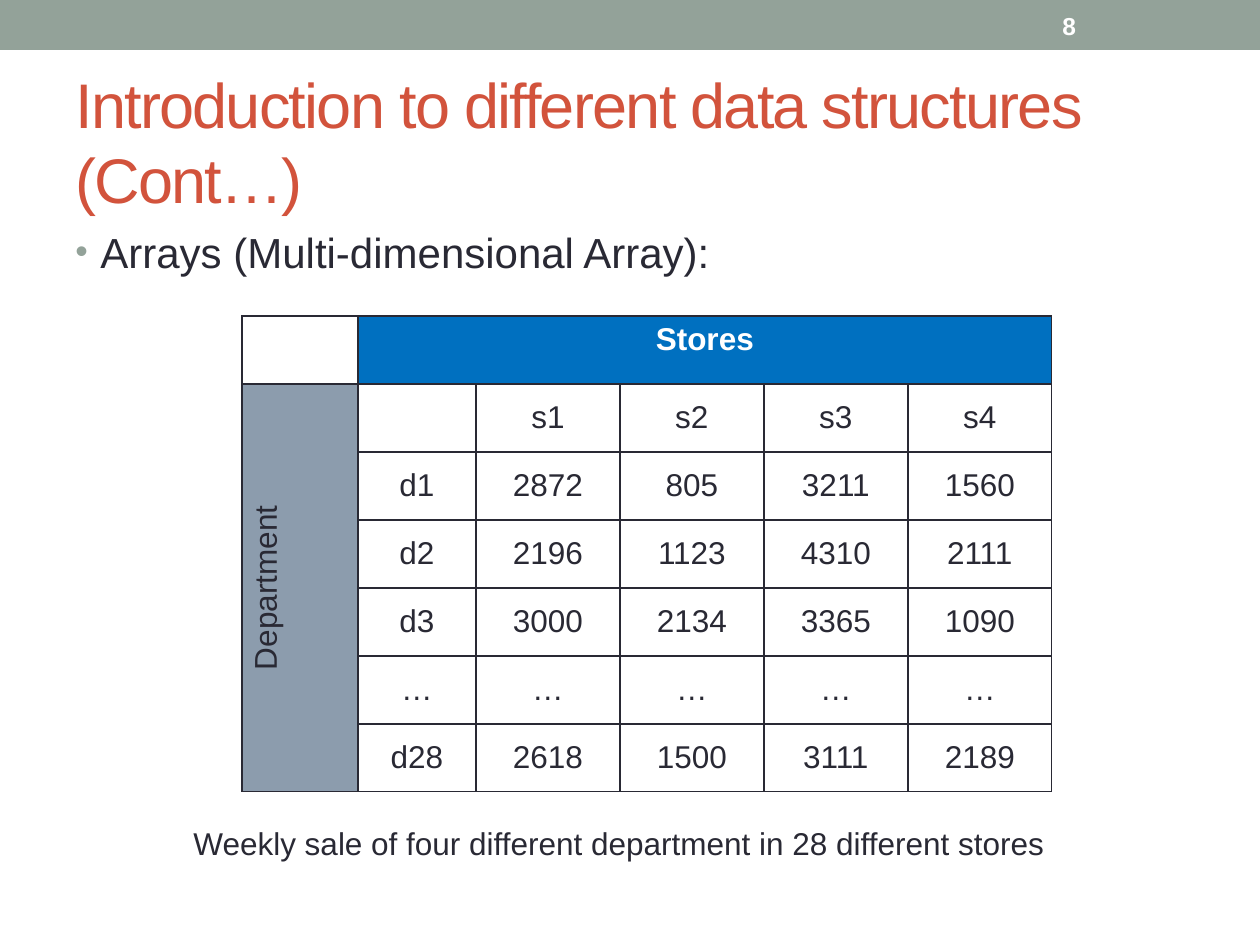
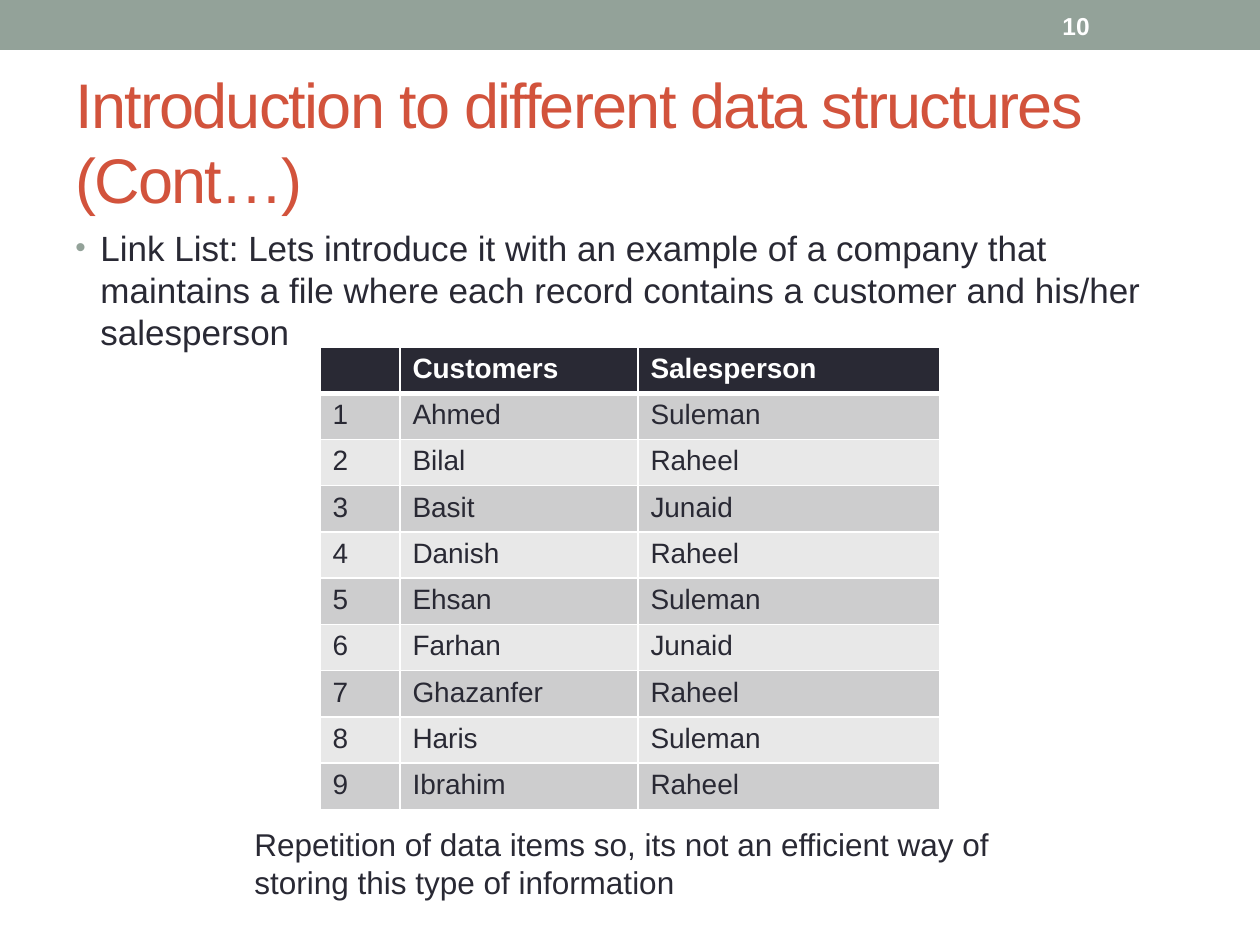
from lxml.etree import SubElement
from pptx import Presentation
from pptx.dml.color import RGBColor
from pptx.enum.shapes import MSO_SHAPE
from pptx.enum.text import MSO_ANCHOR, PP_ALIGN
from pptx.oxml.ns import qn
from pptx.util import Emu, Pt

SAGE = RGBColor(0x93, 0xA2, 0x99)
RUST = RGBColor(0xD2, 0x53, 0x3C)
INK = RGBColor(0x29, 0x29, 0x34)
WHITE = RGBColor(0xFF, 0xFF, 0xFF)
BLUE = RGBColor(0x00, 0x70, 0xC0)
SLATE = RGBColor(0x8C, 0x9C, 0xAD)
GREY = RGBColor(0xCD, 0xCD, 0xCE)
PALE = RGBColor(0xE8, 0xE8, 0xE8)
FONT = "Arial"
TITLE = "Introduction to different data structures (Cont…)"

SALES = [
    ["", "Stores", "", "", "", ""],
    ["Department", "", "s1", "s2", "s3", "s4"],
    ["", "d1", "2872", "805", "3211", "1560"],
    ["", "d2", "2196", "1123", "4310", "2111"],
    ["", "d3", "3000", "2134", "3365", "1090"],
    ["", "…", "…", "…", "…", "…"],
    ["", "d28", "2618", "1500", "3111", "2189"],
]
CUSTOMERS = [
    ("Ahmed", "Suleman"),
    ("Bilal", "Raheel"),
    ("Basit", "Junaid"),
    ("Danish", "Raheel"),
    ("Ehsan", "Suleman"),
    ("Farhan", "Junaid"),
    ("Ghazanfer", "Raheel"),
    ("Haris", "Suleman"),
    ("Ibrahim", "Raheel"),
]


def px(length):
    return Emu(round(length * 914400 / 126))


def add_span(para, text, size, color, bold=False):
    span = para.add_run()
    span.text = text
    span.font.name = FONT
    span.font.size = Pt(size)
    span.font.bold = bold
    span.font.color.rgb = color
    return span


def add_text(page, box, text, size, color, bold=False, anchor=MSO_ANCHOR.TOP):
    frame = page.shapes.add_textbox(*map(px, box)).text_frame
    frame.word_wrap = True
    frame.vertical_anchor = anchor
    para = frame.paragraphs[0]
    return para, add_span(para, text, size, color, bold)


def add_bullet(page, box, text, size):
    para, span = add_text(page, box, text, size, INK)
    para.space_before = Pt(size * 0.2)
    props = para._p.get_or_add_pPr()
    props.set("marL", str(px(25)))
    props.set("indent", str(-px(25)))
    color = SubElement(props, qn("a:buClr"))
    SubElement(color, qn("a:srgbClr"), val=str(SAGE))
    SubElement(props, qn("a:buSzPct"), val="85000")
    SubElement(props, qn("a:buFont"), typeface=FONT)
    SubElement(props, qn("a:buChar"), char="•")


def add_page(deck, number):
    page = deck.slides.add_slide(deck.slide_layouts[6])
    band = page.shapes.add_shape(MSO_SHAPE.RECTANGLE, 0, 0, px(1260), px(50))
    band.shadow.inherit = False
    band.fill.solid()
    band.fill.fore_color.rgb = SAGE
    band.line.fill.background()
    para, span = add_text(page, (63, 73, 1134, 136), TITLE, 36, RUST,
                          anchor=MSO_ANCHOR.MIDDLE)
    span.font._element.set("spc", "-100")
    add_text(page, (1050, 3, 147, 45), number, 14, WHITE, True, MSO_ANCHOR.MIDDLE)
    return page


def add_grid(page, box, columns, row_count):
    table = page.shapes.add_table(row_count, len(columns), *map(px, box)).table
    table.first_row = table.horz_banding = False
    for column, width in zip(table.columns, columns):
        column.width = px(width)
    for row in table.rows:
        row.height = px(box[3]) // row_count
    return table


def set_borders(cell, color, bottom=1):
    props = cell._tc.get_or_add_tcPr()
    for side, width in (("L", 1), ("R", 1), ("T", 1), ("B", bottom)):
        line = SubElement(props, qn(f"a:ln{side}"), w=str(Pt(width)))
        fill = SubElement(line, qn("a:solidFill"))
        SubElement(fill, qn("a:srgbClr"), val=str(color))


def fill_cell(cell, text, size, color, fill=None, bold=False, align=PP_ALIGN.LEFT):
    if fill is None:
        cell.fill.background()
    else:
        cell.fill.solid()
        cell.fill.fore_color.rgb = fill
    para = cell.text_frame.paragraphs[0]
    para.alignment = align
    if text:
        add_span(para, text, size, color, bold)
    else:
        SubElement(para._p, qn("a:endParaRPr"), sz=str(size * 100))


def add_sales_table(page, box):
    table = add_grid(page, box, [116, 118] + [144] * 4, len(SALES))
    for row, values in enumerate(SALES):
        for column, value in enumerate(values):
            cell = table.cell(row, column)
            set_borders(cell, INK)
            header = row == 0
            if header:
                fill = BLUE if column else WHITE
            else:
                fill = None if column else SLATE
                cell.vertical_anchor = MSO_ANCHOR.MIDDLE
            fill_cell(cell, value, 18, WHITE if header else INK, fill, header,
                      PP_ALIGN.CENTER)
    table.cell(0, 1).merge(table.cell(0, 5))
    department = table.cell(1, 0)
    department.merge(table.cell(6, 0))
    department._tc.get_or_add_tcPr().set("vert", "vert270")


def add_customer_table(page, box):
    rows = [("", "Customers", "Salesperson")]
    rows += [(str(number), *pair) for number, pair in enumerate(CUSTOMERS, 1)]
    table = add_grid(page, box, [80, 238, 302], len(rows))
    for row, values in enumerate(rows):
        header = row == 0
        fill = INK if header else GREY if row % 2 else PALE
        for column, value in enumerate(values):
            cell = table.cell(row, column)
            set_borders(cell, WHITE, 3 if header else 1)
            fill_cell(cell, value, 16, WHITE if header else INK, fill, header)


def build_array_page(deck):
    page = add_page(deck, "8")
    add_bullet(page, (63, 220, 1134, 672), "Arrays (Multi-dimensional Array):", 24)
    add_text(page, (181, 818, 941, 50),
             "Weekly sale of four different department in 28 different stores", 18, INK)
    add_sales_table(page, (242, 316, 810, 476))


def build_link_list_page(deck):
    page = add_page(deck, "10")
    add_bullet(page, (63, 220, 1134, 651),
               "Link List: Lets introduce it with an example of a company that maintains "
               "a file where each record contains a customer and his/her salesperson", 20)
    add_text(page, (242, 819, 777, 89),
             "Repetition of data items so, its not an efficient way of storing this "
             "type of information", 18, INK)
    add_customer_table(page, (320, 347, 620, 462))


def main():
    deck = Presentation()
    deck.slide_width, deck.slide_height = px(1260), px(945)
    build_array_page(deck)
    build_link_list_page(deck)
    deck.save("out.pptx")


if __name__ == "__main__":
    main()
